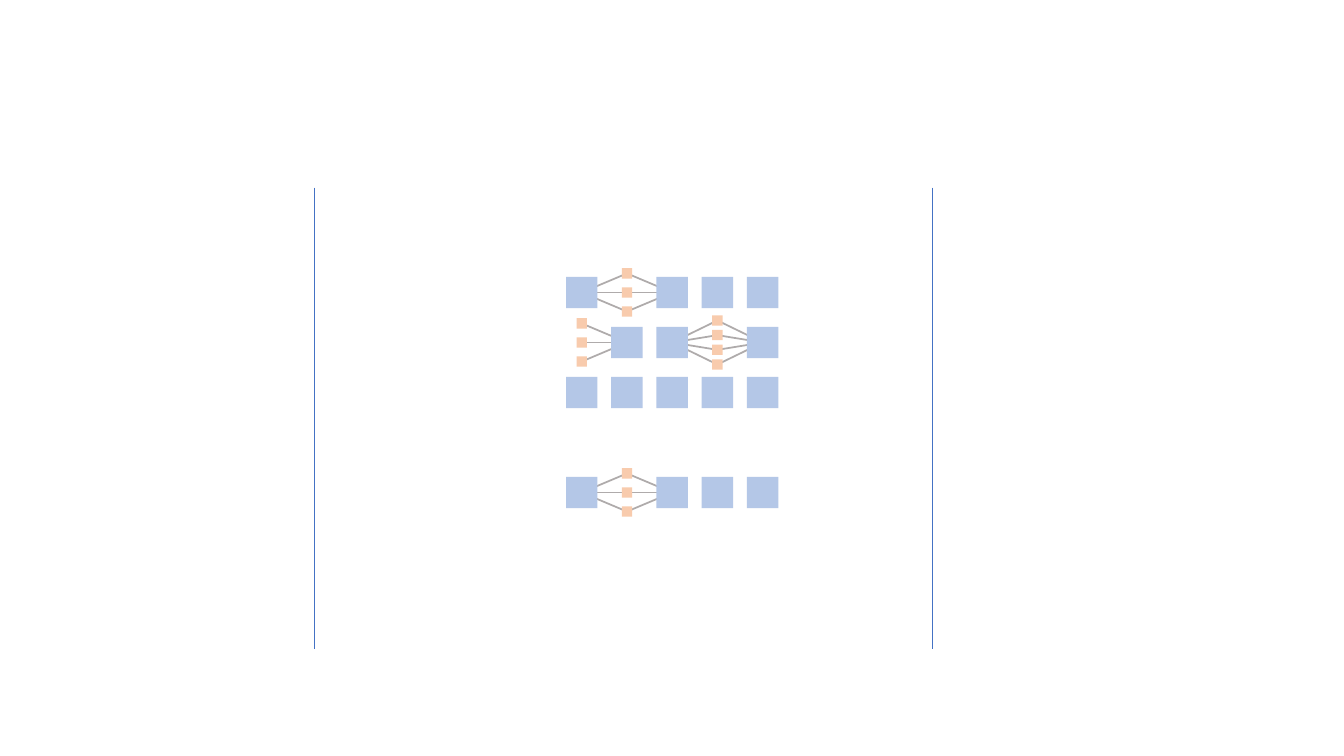
from lxml.etree import SubElement
from pptx import Presentation
from pptx.dml.color import RGBColor
from pptx.enum.shapes import MSO_CONNECTOR, MSO_SHAPE
from pptx.oxml.ns import qn
from pptx.util import Cm, Pt

COLORS = {"hub": "B4C7E7", "node": "F8CBAD", "link": "AFABAB", "border": "4472C4"}

# Grid of hub centres, in cm
FIRST_X, FIRST_Y = 14.66, 7.37
COLUMN_STEP, ROW_STEP = 1.14, 1.26
HUB_SIDE, NODE_SIDE = 0.79, 0.26

# Columns that hold a hub, by grid row
HUB_COLUMNS = {0: (0, 2, 3, 4), 1: (1, 2, 4), 2: range(5), 4: (0, 2, 3, 4)}

# Fans: row, column of the nodes, node count, node gap, columns of linked hubs
FANS = [
    (1, 3, 4, 0.37, (4, 2)),
    (0, 1, 3, 0.48, (2, 0)),
    (4, 1, 3, 0.48, (2, 0)),
    (1, 0, 3, 0.48, (1,)),
]


def grid_center(row, column):
    return FIRST_X + column * COLUMN_STEP, FIRST_Y + row * ROW_STEP


def node_centers(row, column, count, gap):
    x, y = grid_center(row, column)
    return [(x, y + (i - (count - 1) / 2) * gap) for i in range(count)]


class Diagram:
    def __init__(self, slide, colors):
        self.slide = slide
        self.colors = colors

    def group(self):
        return self.slide.shapes.add_group_shape().shapes

    def square(self, center, side, color, shapes=None):
        x, y = center
        shapes = self.slide.shapes if shapes is None else shapes
        square = shapes.add_shape(MSO_SHAPE.RECTANGLE, Cm(x - side / 2),
                                  Cm(y - side / 2), Cm(side), Cm(side))
        square.shadow.inherit = False
        square.fill.solid()
        square.fill.fore_color.rgb = RGBColor.from_string(self.colors[color])
        square.line.fill.background()

    def line(self, start, end, color, width, shapes=None):
        shapes = self.slide.shapes if shapes is None else shapes
        line = shapes.add_connector(MSO_CONNECTOR.STRAIGHT,
                                    *[Cm(value) for value in (*start, *end)])
        line.line.color.rgb = RGBColor.from_string(self.colors[color])
        line.line.width = Pt(width)
        SubElement(line._element.spPr, qn("a:effectLst"))


def main():
    presentation = Presentation()
    presentation.slide_width, presentation.slide_height = Cm(33.87), Cm(19.05)
    slide = presentation.slides.add_slide(presentation.slide_layouts[6])
    diagram = Diagram(slide, COLORS)

    # Links, one group for each side of a fan
    for row, column, count, gap, hubs in FANS:
        for hub in hubs:
            links = diagram.group()
            for node in node_centers(row, column, count, gap):
                diagram.line(node, grid_center(row, hub), "link", 1.25, links)

    # Hubs
    for row, columns in HUB_COLUMNS.items():
        for column in columns:
            diagram.square(grid_center(row, column), HUB_SIDE, "hub")

    # Nodes, one group for each fan
    for row, column, count, gap, _ in FANS:
        nodes = diagram.group()
        for node in node_centers(row, column, count, gap):
            diagram.square(node, NODE_SIDE, "node", nodes)

    # Borders at left and right
    for border_x in (7.92, 23.5):
        diagram.line((border_x, 4.73), (border_x, 16.36), "border", 0.5)

    presentation.save("out.pptx")


if __name__ == "__main__":
    main()
